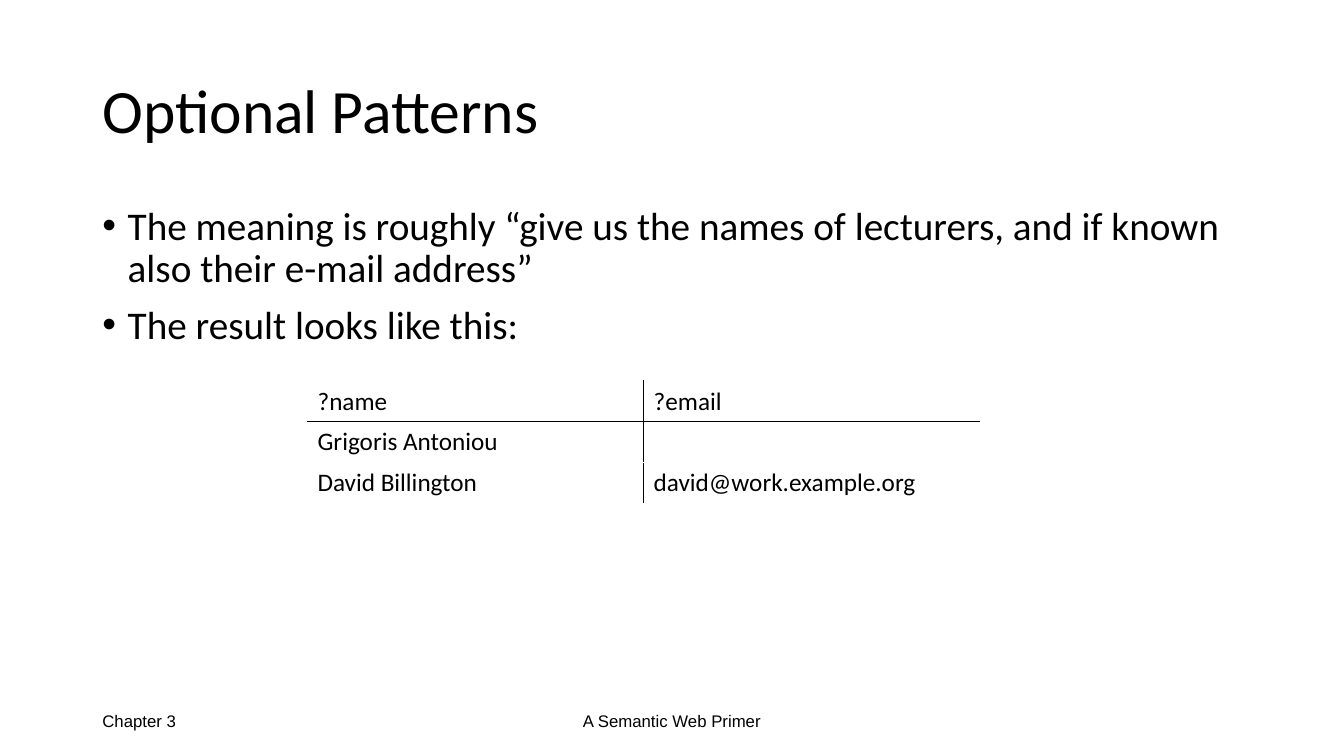
from lxml import etree
from pptx import Presentation
from pptx.dml.color import RGBColor
from pptx.enum.text import MSO_ANCHOR, PP_ALIGN
from pptx.oxml.ns import qn
from pptx.util import Cm, Pt

MIDDLE, TOP = MSO_ANCHOR.MIDDLE, MSO_ANCHOR.TOP
LEFT, CENTER = PP_ALIGN.LEFT, PP_ALIGN.CENTER
COLORS = {"ink": "000000", "paper": "FFFFFF"}
MARGIN, CONTENT_WIDTH = 2.33, 29.21


def write(frame, lines, size, font="Calibri", align=LEFT):
    """Fill a text frame, one paragraph per line, and return the paragraphs."""
    frame.text = "\n".join(lines)
    for para in frame.paragraphs:
        para.alignment = align
        para.font.size = Pt(size)
        para.font.name = font
        para.font.color.rgb = RGBColor.from_string(COLORS["ink"])
    return frame.paragraphs


def add_text(page, place, lines, size, font="Calibri", anchor=MIDDLE, align=LEFT):
    box = page.shapes.add_textbox(*[Cm(length) for length in place])
    box.text_frame.word_wrap = True
    box.text_frame.vertical_anchor = anchor
    return write(box.text_frame, lines, size, font, align)


deck = Presentation()
deck.slide_width, deck.slide_height = Cm(33.87), Cm(19.05)
page = deck.slides.add_slide(deck.slide_layouts[6])
page.background.fill.solid()
page.background.fill.fore_color.rgb = RGBColor.from_string(COLORS["paper"])

# Title
title = add_text(page, (MARGIN, 1.02, CONTENT_WIDTH, 3.68), ["Optional Patterns"], 44)
title[0].line_spacing = 0.9

# Bullets
points = [
    "The meaning is roughly “give us the names of lecturers, and if known also their e-mail address”",
    "The result looks like this:",
]
for para in add_text(page, (MARGIN, 5.08, CONTENT_WIDTH, 12.09), points, 28, anchor=TOP):
    para.line_spacing = 0.9
    para.space_before = Pt(10)
    properties = para._p.get_or_add_pPr()
    properties.set("marL", str(Cm(0.64)))
    properties.set("indent", str(-Cm(0.64)))
    etree.SubElement(properties, qn("a:buFont"), typeface="Arial")
    etree.SubElement(properties, qn("a:buChar"), char="•")

# Footer
add_text(page, (MARGIN, 17.65, 7.62, 1.01), ["Chapter 3"], 12, "Arial")
add_text(page, (11.22, 17.65, 11.43, 1.01), ["A Semantic Web Primer"], 12, "Arial", align=CENTER)

# Query result: ruled under the header and between the two columns
results = [
    ("?name", "?email"),
    ("Grigoris Antoniou", ""),
    ("David Billington", "david@work.example.org"),
]
column_width, row_height = 8.47, 1.03
table_frame = page.shapes.add_table(
    len(results), 2, Cm(7.75), Cm(9.6), Cm(2 * column_width), Cm(len(results) * row_height)
)
table = table_frame.table
table.first_row = table.horz_banding = False
for row_index, values in enumerate(results):
    for column_index, value in enumerate(values):
        cell = table.cell(row_index, column_index)
        write(cell.text_frame, [value], 18)
        borders = {
            "a:lnL": "ink" if column_index == 1 else "paper",
            "a:lnR": "ink" if column_index == 0 else "paper",
            "a:lnT": "ink" if row_index == 1 else "paper",
            "a:lnB": "ink" if row_index == 0 else "paper",
        }
        for side, color in borders.items():
            line = etree.SubElement(cell._tc.get_or_add_tcPr(), qn(side), w=str(Pt(1)))
            line_fill = etree.SubElement(line, qn("a:solidFill"))
            etree.SubElement(line_fill, qn("a:srgbClr"), val=COLORS[color])
        cell.fill.solid()
        cell.fill.fore_color.rgb = RGBColor.from_string(COLORS["paper"])

deck.save("out.pptx")
